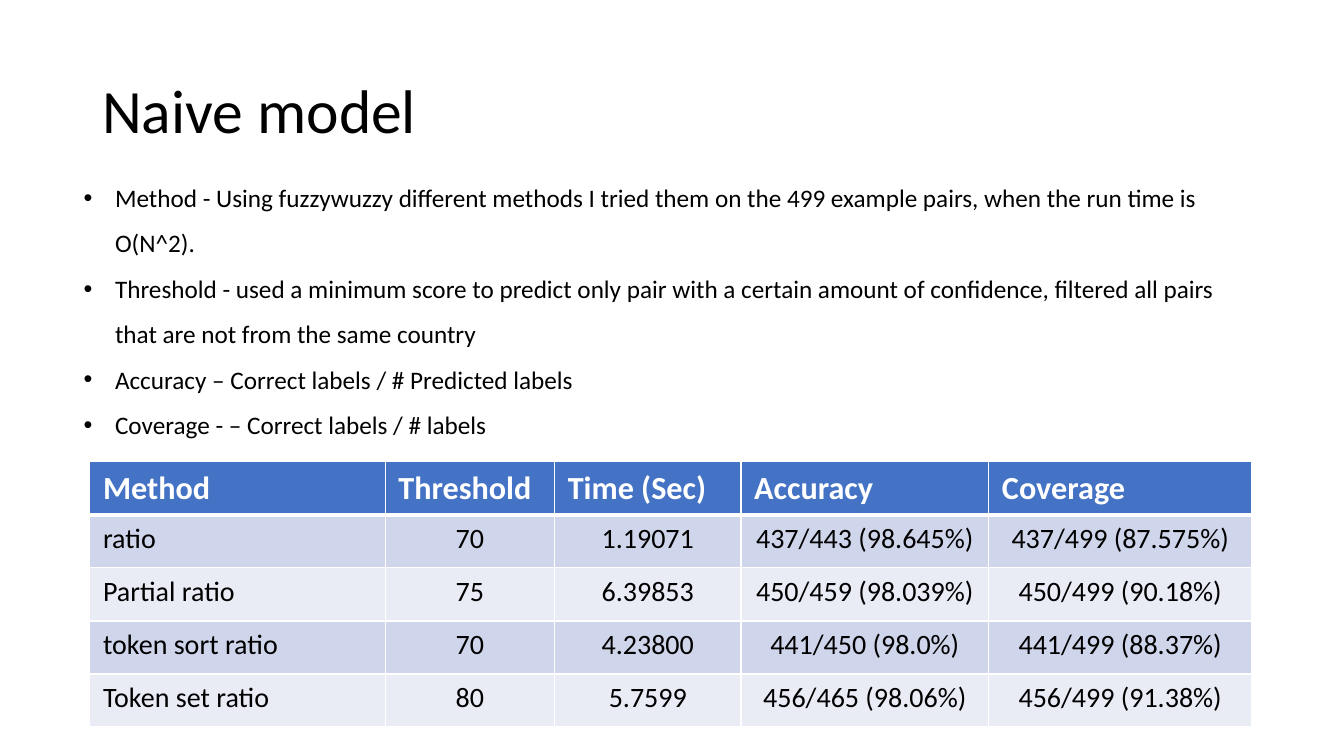
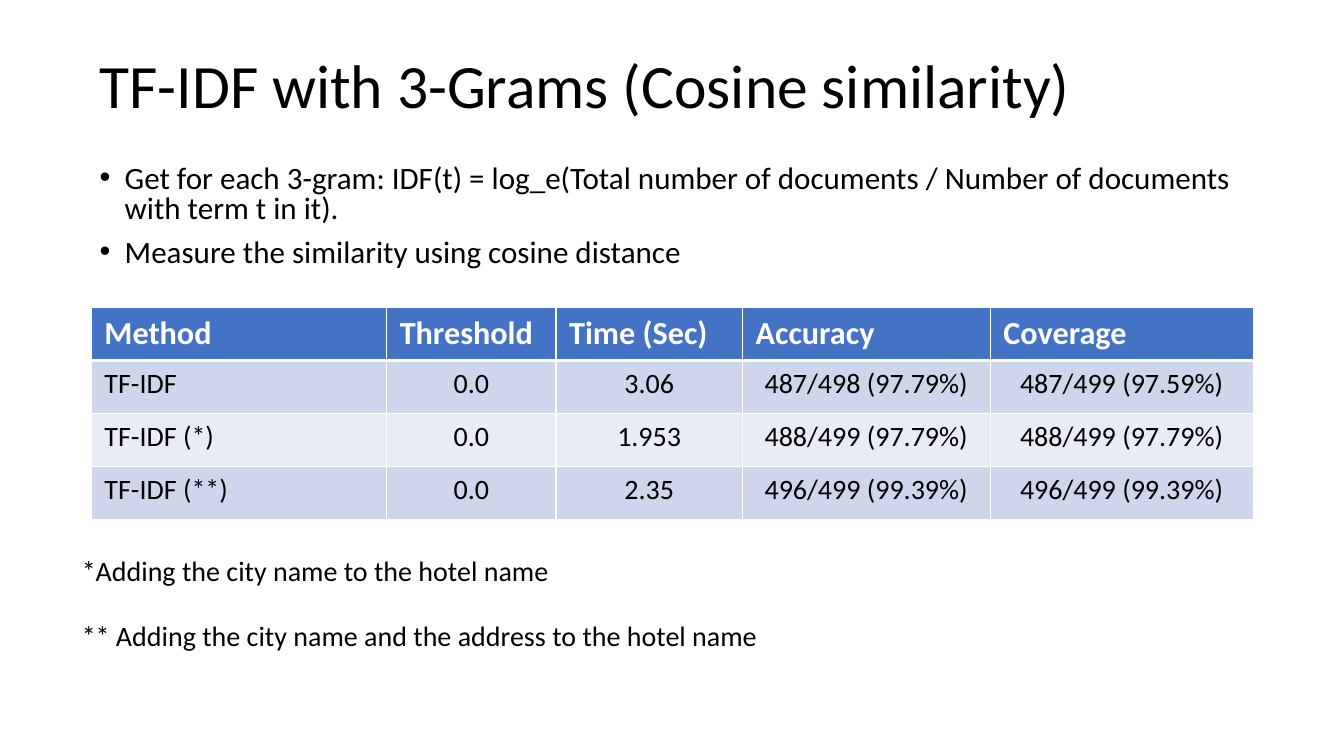
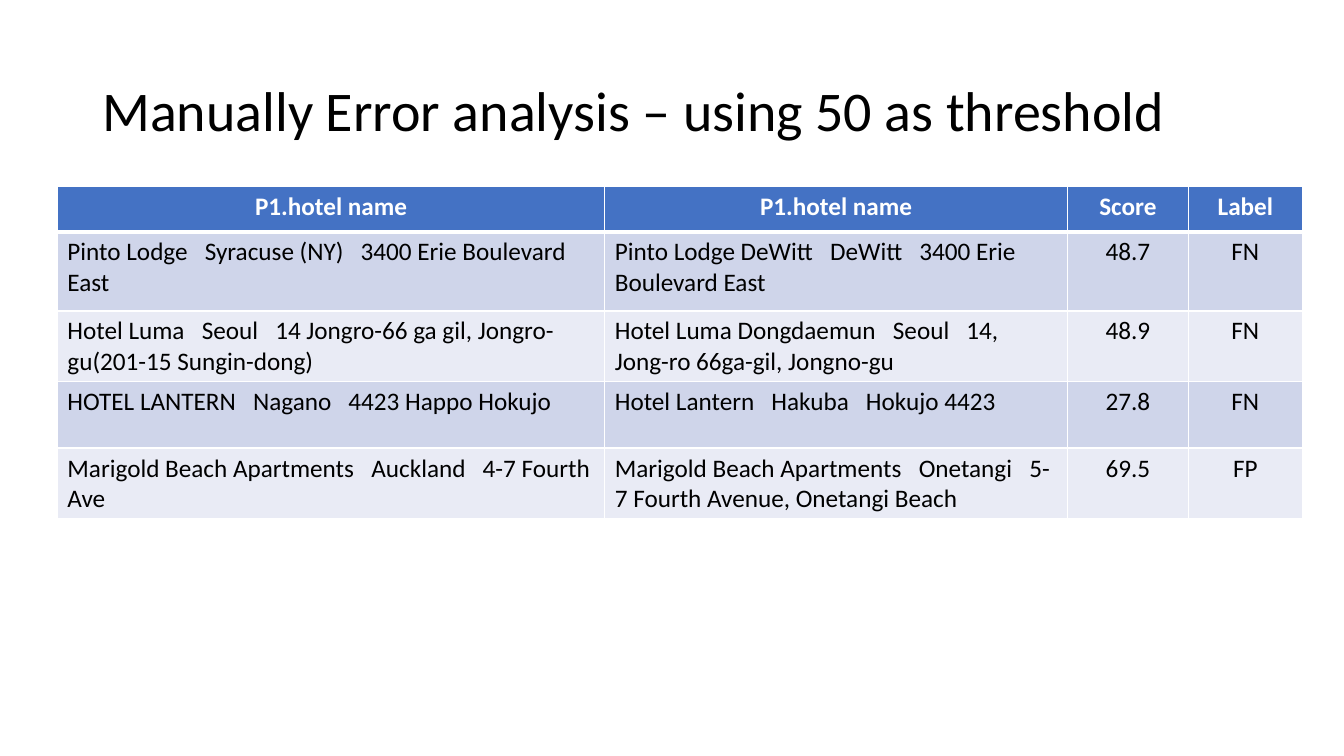
from pptx import Presentation
from pptx.dml.color import RGBColor
from pptx.enum.text import MSO_ANCHOR as Anchor, PP_ALIGN as Align
from pptx.oxml.ns import qn
from pptx.util import Pt
from lxml.etree import SubElement

FONT = "Calibri"
BLACK, WHITE, BLUE = "000000", "FFFFFF", "4472C4"
BANDS = ["CFD5EA", "E9EBF5"]


def write(frame, text, size=18, color=BLACK, bold=False, align=Align.LEFT,
          spacing=1.0, before=0, bullet=0, field_gap=0):
    """Add one paragraph; " | " in the text becomes a space widened by field_gap."""
    para = frame.paragraphs[0]
    if para.runs:
        para = frame.add_paragraph()
    para.alignment, para.line_spacing, para.space_before = align, spacing, Pt(before)
    if bullet:
        props = para._p.get_or_add_pPr()
        props.set("marL", str(Pt(bullet)))
        props.set("indent", str(-Pt(bullet)))
        SubElement(props, qn("a:buFont")).set("typeface", "Arial")
        SubElement(props, qn("a:buChar")).set("char", "•")
    for piece in text.replace(" | ", "| |").split("|"):
        run = para.add_run()
        run.text = piece
        run.font.name, run.font.size, run.font.bold = FONT, Pt(size), bold
        run.font.color.rgb = RGBColor.from_string(color)
        if piece == " ":
            run.font._element.set("spc", str(round(field_gap * 100)))


def add_table(slide, left, top, widths, heights, rows, centred_head, left_columns,
              head_size, body_size, inset):
    """Add a banded table with white rules and a thicker rule below its head."""
    table = slide.shapes.add_table(len(rows), len(widths), Pt(left), Pt(top),
                                   Pt(sum(widths)), Pt(sum(heights))).table
    for column, width in zip(table.columns, widths):
        column.width = Pt(width)
    for r, (row, height) in enumerate(zip(rows, heights)):
        table.rows[r].height = Pt(height)
        head = r == 0
        for c, text in enumerate(row):
            cell = table.cell(r, c)
            cell.margin_left = cell.margin_right = Pt(inset)
            cell.margin_top = cell.margin_bottom = Pt(inset / 2)
            for side in "LRTB":
                thick = (r, side) in [(0, "B"), (1, "T")]
                rule = SubElement(cell._tc.get_or_add_tcPr(), qn("a:ln" + side),
                                  w=str(Pt(3 if thick else 1)))
                SubElement(SubElement(rule, qn("a:solidFill")),
                           qn("a:srgbClr")).set("val", WHITE)
            cell.fill.solid()
            cell.fill.fore_color.rgb = RGBColor.from_string(
                BLUE if head else BANDS[(r - 1) % 2])
            centred = centred_head if head else c >= left_columns
            write(cell.text_frame, text, size=head_size if head else body_size,
                  color=WHITE if head else BLACK, bold=head,
                  align=Align.CENTER if centred else Align.LEFT, field_gap=8.1)


prs = Presentation()
prs.slide_width, prs.slide_height = Pt(960), Pt(540)

# Slide content: title with its place, text blocks, table
score_head = ["Method", "Threshold", "Time (Sec)", "Accuracy", "Coverage"]
score_style = dict(widths=[211, 121, 133.2, 177, 187.9], centred_head=False,
                   left_columns=1, head_size=23, body_size=20, inset=9.4)
definition = dict(size=18, spacing=1.5, bullet=22.5)
step = dict(size=22.2, spacing=0.8, before=10, bullet=18)

slides = [
    dict(
        title=("Naive model", 66, 29, 44),
        blocks=[((52.6, 116, 842, 200), [
            ("Method - Using fuzzywuzzy different methods I tried them on the 499 "
             "example pairs, when the run time is O(N^2).", definition),
            ("Threshold - used a minimum score to predict only pair with a certain "
             "amount of confidence, filtered all pairs that are not from the same "
             "country", definition),
            ("Accuracy – Correct labels / # Predicted labels", definition),
            ("Coverage - – Correct labels / # labels", definition)])],
        table=dict(score_style, left=64.2, top=329.8, heights=[37.9] * 5, rows=[
            score_head,
            ["ratio", "70", "1.19071", "437/443 (98.645%)", "437/499 (87.575%)"],
            ["Partial ratio", "75", "6.39853", "450/459 (98.039%)", "450/499 (90.18%)"],
            ["token sort ratio", "70", "4.23800", "441/450 (98.0%)", "441/499 (88.37%)"],
            ["Token set ratio", "80", "5.7599", "456/465 (98.06%)", "456/499 (91.38%)"]])),
    dict(
        title=("TF-IDF with 3-Grams (Cosine similarity)", 64, 11, 44),
        blocks=[
            ((64, 115, 857.5, 81.4), [
                ("Get for each 3-gram: IDF(t) = log_e(Total number of documents / "
                 "Number of documents with term t in it).", step),
                ("Measure the similarity using cosine distance", step)]),
            ((51.3, 394.6, 857.5, 81.4), [
                ("*Adding the city name to the hotel name",
                 dict(size=20, spacing=0.9, before=10)),
                ("** Adding the city name and the address to the hotel name",
                 dict(size=20, spacing=1.5, before=10))])],
        table=dict(score_style, left=65.2, top=219.6, heights=[37.9] * 4, rows=[
            score_head,
            ["TF-IDF", "0.0", "3.06", "487/498 (97.79%)", "487/499 (97.59%)"],
            ["TF-IDF (*)", "0.0", "1.953", "488/499 (97.79%)", "488/499 (97.79%)"],
            ["TF-IDF (**)", "0.0", "2.35", "496/499 (99.39%)", "496/499 (99.39%)"]])),
    dict(
        title=("Manually Error analysis – using 50 as threshold", 66, 29, 40),
        blocks=[],
        table=dict(
            left=41, top=133.2, widths=[391, 330.5, 86.4, 81.4],
            heights=[32.4, 56.5, 47.5, 47.5, 47.5], centred_head=True,
            left_columns=2, head_size=18, body_size=18, inset=7.2, rows=[
                ["P1.hotel name", "P1.hotel name", "Score", "Label"],
                ["Pinto Lodge | Syracuse (NY) | 3400 Erie Boulevard East",
                 "Pinto Lodge DeWitt | DeWitt | 3400 Erie Boulevard East", "48.7", "FN"],
                ["Hotel Luma | Seoul | 14 Jongro-66 ga gil, Jongro-gu(201-15 Sungin-dong)",
                 "Hotel Luma Dongdaemun | Seoul | 14, Jong-ro 66ga-gil, Jongno-gu",
                 "48.9", "FN"],
                ["HOTEL LANTERN | Nagano | 4423 Happo Hokujo",
                 "Hotel Lantern | Hakuba | Hokujo 4423", "27.8", "FN"],
                ["Marigold Beach Apartments | Auckland | 4-7 Fourth Ave",
                 "Marigold Beach Apartments | Onetangi | 5-7 Fourth Avenue, Onetangi Beach",
                 "69.5", "FP"]])),
]

# Build the slides
for content in slides:
    slide = prs.slides.add_slide(prs.slide_layouts[6])

    # Title
    heading, left, top, size = content["title"]
    title = slide.shapes.add_textbox(Pt(left), Pt(top), Pt(828), Pt(104.4)).text_frame
    title.word_wrap = True
    title.vertical_anchor = Anchor.MIDDLE
    write(title, heading, size=size, spacing=0.9)

    # Table
    add_table(slide, **content["table"])

    # Text blocks
    for place, paragraphs in content["blocks"]:
        block = slide.shapes.add_textbox(*map(Pt, place)).text_frame
        block.word_wrap = True
        for text, style in paragraphs:
            write(block, text, **style)

prs.save("out.pptx")
